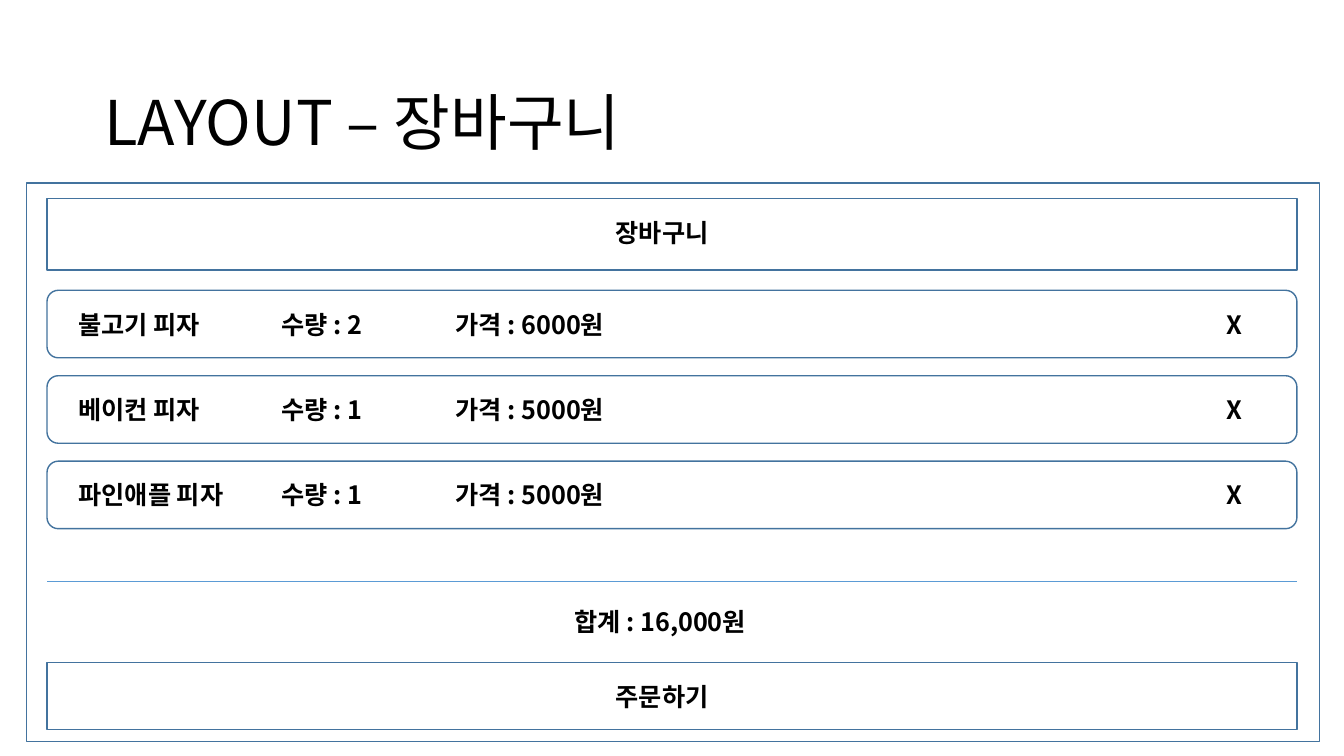
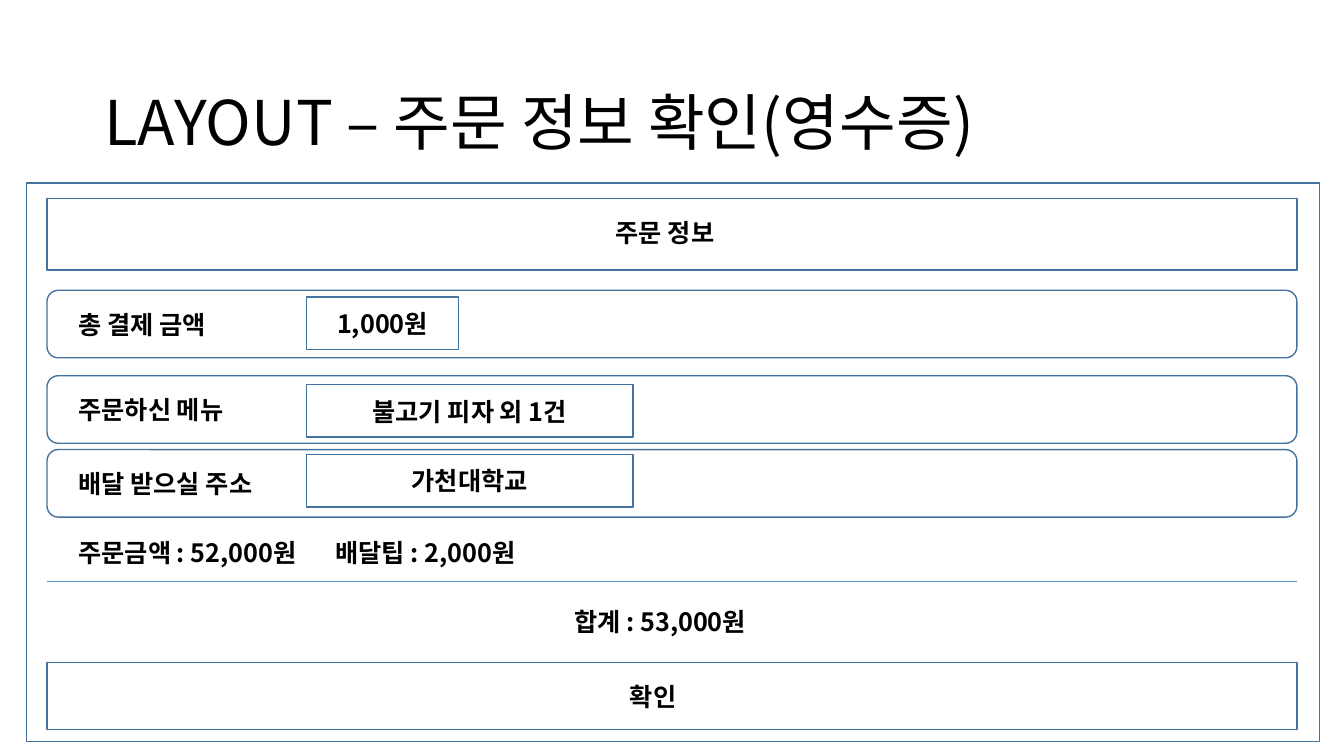
import pptx
import pptx.util
import pptx.dml.color
import pptx.enum.shapes
import pptx.enum.text
import pptx.oxml.ns
from lxml import etree

RGBColor = pptx.dml.color.RGBColor
MSO_SHAPE = pptx.enum.shapes.MSO_SHAPE
ANCHOR = pptx.enum.text.MSO_ANCHOR
ALIGN = pptx.enum.text.PP_ALIGN

BLACK = RGBColor(0x00, 0x00, 0x00)
WHITE = RGBColor(0xFF, 0xFF, 0xFF)
OUTLINE = RGBColor(0x43, 0x73, 0x9E)
RULE = RGBColor(0x5B, 0x9B, 0xD5)
FONT = "Noto Sans CJK KR"

# Grid of 100 columns by 100 rows
LEFT, WIDTH = 3.5, 93
TEXT_LEFT = 5.1
HEADER_TOP, HEADER_HEIGHT = 26.27, 9.47
ROW_TOP, ROW_STEP, ROW_HEIGHT = 38.4, 11.3, 8.93
RULE_TOP, TOTAL_TOP, BUTTON_TOP = 76.93, 79.6, 87.6
LABEL_HEIGHT, LABEL_DROP = 5.33, 1.8
VALUE_LEFT, VALUE_HEIGHT = 22.8, 6.93


class Wireframe:
    """Style, grid and current slide of the wireframe deck."""

    def __init__(self):
        self.prs = pptx.Presentation()
        self.prs.slide_width = pptx.util.Inches(13.33)
        self.prs.slide_height = pptx.util.Inches(7.5)
        self.s = None

    def x(self, cols):
        return round(self.prs.slide_width * cols / 100)

    def y(self, rows):
        return round(self.prs.slide_height * rows / 100)

    def area(self, left, top, width, height):
        return self.x(left), self.y(top), self.x(width), self.y(height)

    def put_text(self, sp, text, size=18, bold=True, align=ALIGN.LEFT):
        tf = sp.text_frame
        tf.word_wrap = True
        tf.text = text
        p = tf.paragraphs[0]
        p.alignment = align
        for r in p.runs:
            r.font.name = FONT
            r.font.size = pptx.util.Pt(size)
            r.font.bold = bold
            r.font.color.rgb = BLACK
            ea = etree.SubElement(r.font._element, pptx.oxml.ns.qn("a:ea"))
            ea.set("typeface", FONT)
        return tf

    def title(self, text):
        sp = self.s.shapes.add_textbox(*self.area(7, 6.93, 86.25, 19.33))
        tf = self.put_text(sp, text, size=44, bold=False)
        tf.vertical_anchor = ANCHOR.MIDDLE
        tf.paragraphs[0].line_spacing = 0.9

    def label(self, text, left, top, width):
        sp = self.s.shapes.add_textbox(*self.area(left, top, width, LABEL_HEIGHT))
        tf = self.put_text(sp, text)
        tf.auto_size = pptx.enum.text.MSO_AUTO_SIZE.SHAPE_TO_FIT_TEXT

    def box(self, left, top, width, height, kind=MSO_SHAPE.RECTANGLE):
        sp = self.s.shapes.add_shape(kind, *self.area(left, top, width, height))
        sp.shadow.inherit = False
        sp.fill.solid()
        sp.fill.fore_color.rgb = WHITE
        sp.line.color.rgb = OUTLINE
        sp.line.width = pptx.util.Pt(1)
        return sp

    def row(self, top, name):
        self.box(LEFT, top, WIDTH, ROW_HEIGHT, MSO_SHAPE.ROUNDED_RECTANGLE)
        self.label(name, TEXT_LEFT, top + LABEL_DROP, 16.2)

    def value(self, text, top, width):
        sp = self.box(VALUE_LEFT, top, width, VALUE_HEIGHT)
        tf = self.put_text(sp, text, align=ALIGN.CENTER)
        tf.vertical_anchor = ANCHOR.MIDDLE

    def rule(self, top):
        line = self.s.shapes.add_connector(
            pptx.enum.shapes.MSO_CONNECTOR.STRAIGHT,
            self.x(LEFT), self.y(top), self.x(LEFT + WIDTH), self.y(top))
        line.line.color.rgb = RULE
        line.line.width = pptx.util.Pt(0.5)
        etree.SubElement(line._element.spPr, pptx.oxml.ns.qn("a:effectLst"))

    def screen(self, title, header, total, button, button_left):
        """Start a slide with the parts every screen shares."""
        self.s = self.prs.slides.add_slide(self.prs.slide_layouts[6])
        self.title(title)
        self.box(1.95, 24.2, 96.25, 73.87)
        self.box(LEFT, HEADER_TOP, WIDTH, HEADER_HEIGHT)
        self.label(header, 45.08, HEADER_TOP + LABEL_DROP, 13.35)
        self.rule(RULE_TOP)
        self.label(total, 42, TOTAL_TOP, 21.2)
        self.box(LEFT, BUTTON_TOP, WIDTH, ROW_HEIGHT)
        self.label(button, button_left, BUTTON_TOP + LABEL_DROP, 13.35)


def main():
    deck = Wireframe()

    # Shopping cart
    deck.screen("LAYOUT – 장바구니", "장바구니", "합계 : 16,000원", "주문하기", 45.08)
    cart = [("불고기 피자", 2, 6000), ("베이컨 피자", 1, 5000), ("파인애플 피자", 1, 5000)]
    for i, (name, count, price) in enumerate(cart):
        top = ROW_TOP + i * ROW_STEP
        deck.row(top, name)
        deck.label(f"수량 : {count}", 20.18, top + LABEL_DROP, 11.9)
        deck.label(f"가격 : {price}원", 33.15, top + LABEL_DROP, 14.8)
        deck.label("X", 90.53, top + LABEL_DROP, 5)

    # Receipt
    deck.screen("LAYOUT – 주문 정보 확인(영수증)", "주문 정보", "합계 : 53,000원", "확인", 46.13)
    receipt = [
        (ROW_TOP, "총 결제 금액", "1,000원", 39.3, 11.33),
        (ROW_TOP + ROW_STEP, "주문하신 메뉴", "불고기 피자 외 1건", 50.9, 24.3),
        (59.47, "배달 받으실 주소", "가천대학교", 60.15, 24.3),
    ]
    for top, name, value, value_top, value_width in receipt:
        deck.row(top, name)
        deck.value(value, value_top, value_width)
    deck.label("주문금액 : 52,000원", TEXT_LEFT, 70.4, 19.1)
    deck.label("배달팁 : 2,000원", 24.23, 70.4, 16.05)

    deck.prs.save("out.pptx")


if __name__ == "__main__":
    main()
